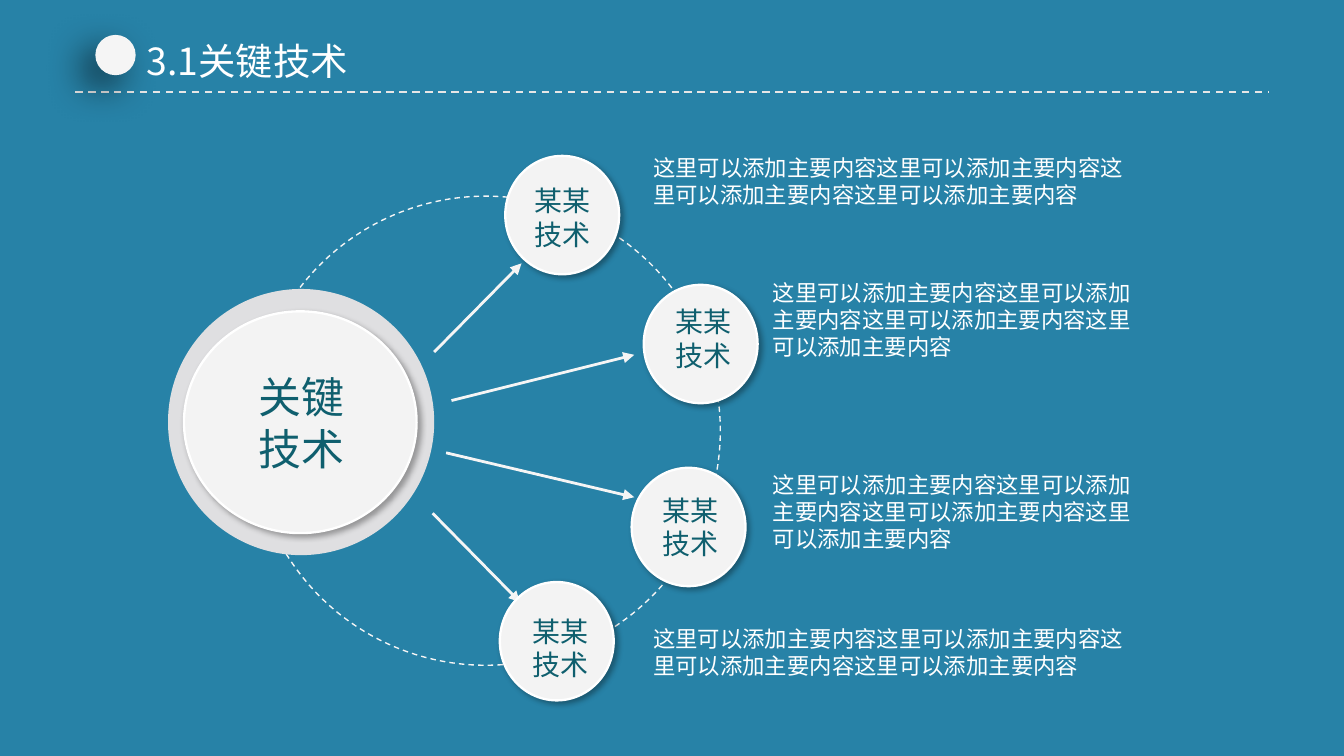
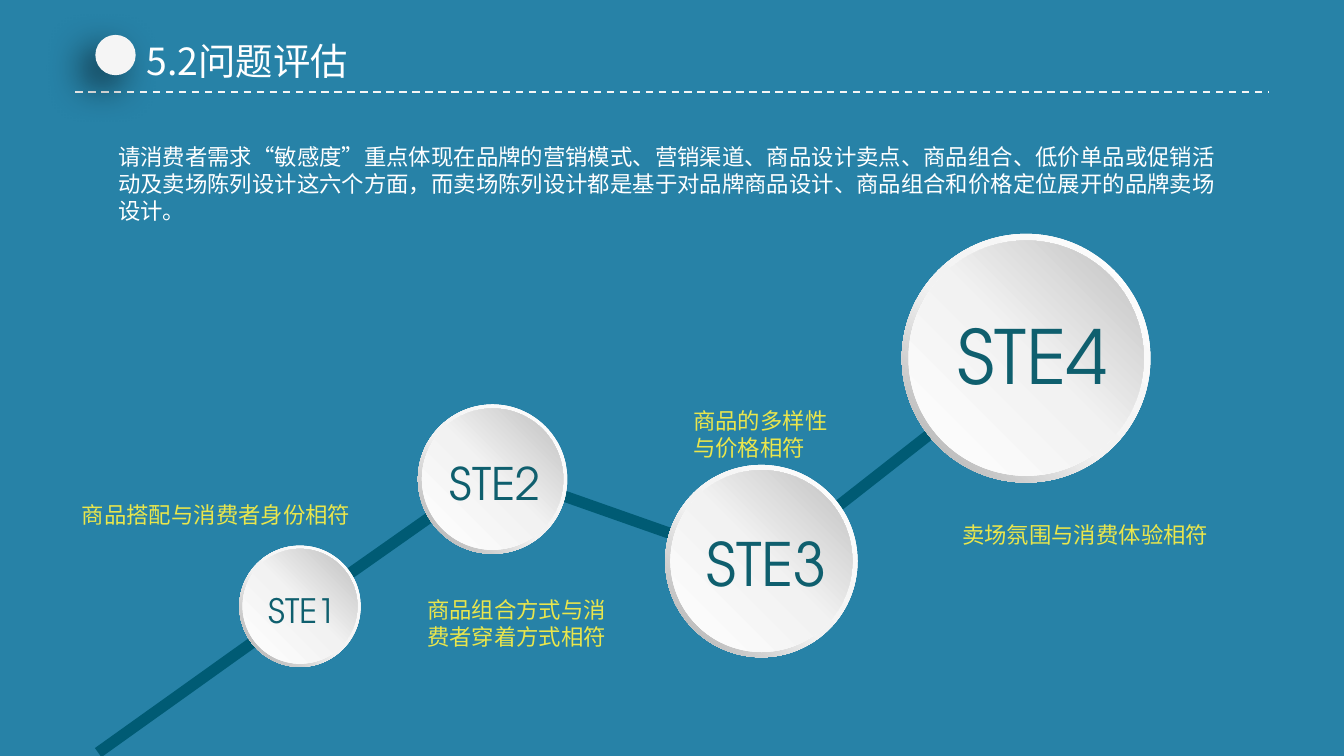
from itertools import pairwise

from lxml.etree import SubElement
from pptx import Presentation
from pptx.dml.color import RGBColor
from pptx.enum.dml import MSO_LINE as Dash
from pptx.enum.shapes import MSO_CONNECTOR as Conn, MSO_SHAPE as Shape
from pptx.enum.text import MSO_ANCHOR as Anchor, MSO_AUTO_SIZE as Fit, PP_ALIGN as Align
from pptx.oxml.ns import qn
from pptx.util import Pt

COLORS = {
    "back": "2782A7", "white": "FFFFFF", "pale": "F5F5F5", "rule": "E7E6E6",
    "disc": "F3F3F3", "halo": "DFDFE1", "ink": "0F5F6E",
    "trail": "005B74", "caption": "EAE64C", "black": "000000",
}
CJK, LATIN = "Noto Sans CJK SC", "TeX Gyre Adventor"
WIDE, TIGHT = (7.2, 3.6), (5, 2.9)
NODE_SHADOW, DOT_SHADOW = (32, 3, 2, 45), (60, 20, 10, 135)
RIM = ((0, "FFFFFF"), (55, "F2F2F2"), (100, "A6A6A6"))
FACE = ((0, "FFFFFF"), (51, "F2F2F2"), (100, "BFBFBF"))


def rgb(name):
    """Return a palette colour."""
    return RGBColor.from_string(COLORS[name])


def pts(*values):
    """Turn numbers into lengths in points."""
    return [Pt(v) for v in values]


def write(sp, text, size, color, font=CJK, align=Align.LEFT, wrap=True, inset=WIDE):
    """Fill a text shape and format its runs."""
    tf = sp.text_frame
    tf.text = text
    tf.word_wrap = wrap
    tf.auto_size = Fit.SHAPE_TO_FIT_TEXT
    tf.vertical_anchor = Anchor.TOP
    tf.margin_left = tf.margin_right = Pt(inset[0])
    tf.margin_top = tf.margin_bottom = Pt(inset[1])
    for p in tf.paragraphs:
        p.alignment = align
        for r in p.runs:
            r.font.size = Pt(size)
            r.font.name = font
            r.font.color.rgb = rgb(color)
            SubElement(r.font._element, qn("a:ea"), typeface=font)


def label(shapes, box, text, size, color, **style):
    """Add a text box."""
    write(shapes.add_textbox(*pts(*box)), text, size, color, **style)


def cast_shadow(sp, alpha, blur, dist, angle):
    """Give a shape an outer shadow."""
    effects = sp._element.spPr.find(qn("a:effectLst"))
    shadow = SubElement(effects, qn("a:outerShdw"), blurRad=str(Pt(blur)), dist=str(Pt(dist)),
                        dir=str(angle * 60000), algn="ctr", rotWithShape="0")
    color = SubElement(shadow, qn("a:srgbClr"), val=COLORS["black"])
    SubElement(color, qn("a:alpha"), val=str(alpha * 1000))


def round_shape(shapes, box, fill=None, line=None, width=0, shadow=None, kind=Shape.OVAL):
    """Add an ellipse or ring with optional fill, outline and shadow."""
    sp = shapes.add_shape(kind, *pts(*box))
    sp.shadow.inherit = False
    if fill:
        sp.fill.solid()
        sp.fill.fore_color.rgb = rgb(fill)
    else:
        sp.fill.background()
    if line:
        sp.line.color.rgb = rgb(line)
        sp.line.width = Pt(width)
    else:
        sp.line.fill.background()
    if shadow:
        cast_shadow(sp, *shadow)
    return sp


def shade(sp, stops, angle):
    """Fill a shape with a linear gradient, its angle counted clockwise."""
    sp.fill.gradient()
    sp.fill.gradient_angle = 360 - angle
    stop_list = sp._element.spPr.find(qn("a:gradFill")).find(qn("a:gsLst"))
    for stop in list(stop_list):
        stop_list.remove(stop)
    for place, color in stops:
        stop = SubElement(stop_list, qn("a:gs"), pos=str(place * 1000))
        SubElement(stop, qn("a:srgbClr"), val=color)


def connect(shapes, start, end, color, width, dash=None, arrow=False):
    """Draw a straight line, with an arrowhead at its start if asked."""
    ln = shapes.add_connector(Conn.STRAIGHT, *pts(*start, *end))
    ln.line.color.rgb = rgb(color)
    ln.line.width = Pt(width)
    if dash:
        ln.line.dash_style = dash
    if arrow:
        SubElement(ln.line._get_or_add_ln(), qn("a:headEnd"), type="triangle")
    SubElement(ln._element.spPr, qn("a:effectLst"))


def header(s, box, title, rule):
    """Place the dashed rule, the dot and the title in the header band."""
    x, y, w, h = box
    connect(s.shapes, (x, y + h), (x + w, y + h), rule, 1, Dash.DASH)
    round_shape(s.shapes, (x + 10.8, y + 2.1, 21.6, 21.6), "pale", shadow=DOT_SHADOW)
    sp = s.shapes.title
    sp.left, sp.top, sp.width, sp.height = pts(x + 31, y, 127.4, 31.7)
    write(sp, title, 20, "white", wrap=False)


def node(s, x, y, dx, dy):
    """Place a small technology disc with its label."""
    shapes = s.shapes.add_group_shape().shapes
    round_shape(shapes, (x, y, 61, 63.4), "disc", "white", 1.25, NODE_SHADOW)
    label(shapes, (x + dx, y + dy, 48.2, 43.9), "某某技术", 15, "ink", align=Align.CENTER)


def hub(s, box):
    """Place the large central disc."""
    x, y, w, h = box
    shapes = s.shapes.add_group_shape().shapes
    round_shape(shapes, box, "halo")
    round_shape(shapes, (x + 8.6, y + 12, w - 18, h - 23.8), "disc", "white", 1.25, NODE_SHADOW)
    label(s.shapes, (x + 36, y + 41, 70.6, 61.2), "关键技术", 23, "ink",
          align=Align.CENTER, inset=TIGHT)


def technology(s, box):
    """Draw the hub, its four nodes, arrows and notes."""
    x, y, w, h = box
    orbit = round_shape(s.shapes, (x + 44.6, y + 21.6, 251.3, 251.3), line="pale")
    orbit.line.dash_style = Dash.DASH
    arrows = [((189.4, 57.6), (142.6, 105.1)), ((249.8, 106.6), (151.9, 131.1)),
              ((249.8, 182.9), (149, 159.1)), ((188.6, 239.1), (141.8, 191.5))]
    for start, end in arrows:
        connect(s.shapes, (x + start[0], y + start[1]), (x + end[0], y + end[1]),
                "pale", 1.5, arrow=True)
    for dx, dy, *offset in [(180.7, 0, 6.5, 11.5), (254.9, 69.1, 7.9, 7.2),
                            (248.4, 167.1, 7.2, 10), (177.8, 228.3, 8.6, 13.7)]:
        node(s, x + dx, y + dy, *offset)
    hub(s, (x, y + 71.3, 142.6, 142.6))
    for dx, dy, nw, nh in [(254.9, -3.6, 272, 34.6), (319, 63.4, 208, 49),
                           (319, 166.3, 208, 49), (254.9, 248.4, 263.5, 34.6)]:
        label(s.shapes, (x + dx, y + dy, nw, nh), "这里可以添加主要内容" * 4, 12, "white",
              inset=TIGHT)


def step(s, box, text, size, dx, dy):
    """Place a shaded step disc with its rim and name."""
    x, y, d = box
    gap = d * 0.027
    shapes = s.shapes.add_group_shape().shapes
    rim = round_shape(shapes, (x, y, d, d), kind=Shape.DONUT)
    rim.adjustments[0] = 0.049
    shade(rim, RIM, 135)
    face = round_shape(shapes, (x + gap, y + gap, d - 2 * gap, d - 2 * gap))
    shade(face, FACE, 315)
    label(shapes, (x + dx, y + dy, 2.5 * size + 14.4, 1.2 * size + 7.2), text, size, "ink",
          font=LATIN, wrap=False)


def steps(s, box):
    """Draw the rising trail, its four steps and their captions."""
    x, y = box[:2]
    trail = [(15.9, 277.9), (122.8, 201.6), (228.3, 127.4), (371.5, 177.8), (514.8, 65.5)]
    for (x1, y1), (x2, y2) in pairwise(trail):
        connect(s.shapes, (x + x1, y + y1), (x + x2, y + y2), "trail", 6)
    discs = [(91.5, 167, 65, 18, 8.6, 20.2), (187.2, 91.4, 80, 24, 10, 23.8),
             (319.7, 123.8, 103, 32, 15.1, 29.5), (446.4, 0, 133.2, 40, 23, 37.4)]
    for i, (dx, dy, d, size, *offset) in enumerate(discs, 1):
        step(s, (x + dx, y + dy, d), f"STE{i}", size, *offset)
    captions = [(0, 139.7, 159.8, 21.6, "商品搭配与消费者身份相符"),
                (185, 190.8, 111.6, 36, "商品组合方式与消\n费者穿着方式相符"),
                (327.6, 89.3, 87.1, 36, "商品的多样性\n与价格相符"),
                (471.6, 150.5, 147.6, 21.6, "卖场氛围与消费体验相符")]
    for dx, dy, w, h, text in captions:
        label(s.shapes, (x + dx, y + dy, w, h), text, 12, "caption", wrap=False)


def main():
    """Build both slides and save them."""
    prs = Presentation()
    prs.slide_width, prs.slide_height = pts(720, 405)
    back = prs.slide_master.background.fill
    back.solid()
    back.fore_color.rgb = rgb("back")
    title_only = prs.slide_layouts[5]
    band = (40.3, 16.6, 639.4, 32.5)

    s = prs.slides.add_slide(title_only)
    technology(s, (90, 83.5, 527, 292))
    header(s, band, "3.1关键技术", "rule")

    s = prs.slides.add_slide(title_only)
    header(s, band, "5.2问题评估", "pale")
    label(s.shapes, (56.2, 73.4, 609.1, 51.1),
          "请消费者需求“敏感度”重点体现在品牌的营销模式、营销渠道、商品设计卖点、商品组合、低价单品或促销活动"
          "及卖场陈列设计这六个方面，而卖场陈列设计都是基于对品牌商品设计、商品组合和价格定位展开的品牌卖场设计。",
          12, "white")
    steps(s, (36.7, 125.3, 620, 280))
    prs.save("out.pptx")


if __name__ == "__main__":
    main()
